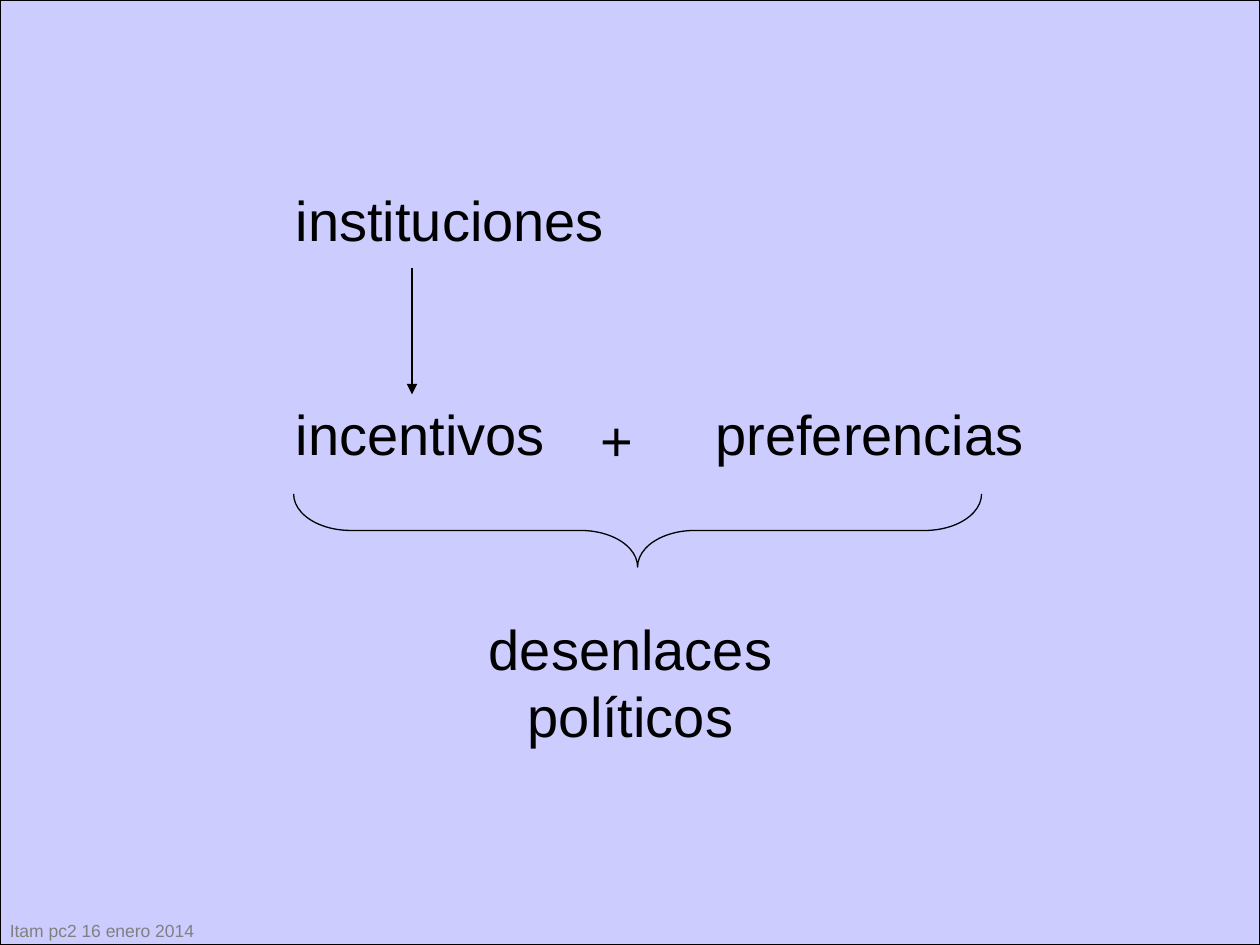
from dataclasses import dataclass

from lxml.etree import SubElement
from pptx import Presentation
from pptx.dml.color import RGBColor
from pptx.enum.shapes import MSO_CONNECTOR, MSO_SHAPE
from pptx.enum.text import PP_ALIGN
from pptx.oxml.ns import qn
from pptx.util import Inches, Pt


@dataclass(frozen=True)
class Theme:
    """Colours, font and sizes of the deck."""

    background: RGBColor = RGBColor(0xCC, 0xCC, 0xFF)
    ink: RGBColor = RGBColor(0, 0, 0)
    muted: RGBColor = RGBColor(0x80, 0x80, 0x80)
    font: str = "Arial"
    concept_size: float = 32
    footer_size: float = 10
    line_width: float = 0.75


class SlideBuilder:
    """Draws styled elements on the current slide."""

    def __init__(self, slide, theme):
        self.shapes = slide.shapes
        self.theme = theme

    def style_line(self, line):
        """Give a line the theme's colour and width."""
        line.color.rgb = self.theme.ink
        line.width = Pt(self.theme.line_width)

    def backdrop(self, width, height):
        """Add the framed coloured area behind the diagram."""
        frame = self.shapes.add_shape(MSO_SHAPE.RECTANGLE, 0, 0, width, height)
        frame.shadow.inherit = False
        frame.fill.solid()
        frame.fill.fore_color.rgb = self.theme.background
        self.style_line(frame.line)

    def text(self, words, left, top, width, height, size, color, align=PP_ALIGN.LEFT):
        """Add a wrapped text box."""
        box = self.shapes.add_textbox(Inches(left), Inches(top), Inches(width), Inches(height))
        box.text_frame.word_wrap = True
        box.text_frame.text = words
        para = box.text_frame.paragraphs[0]
        para.alignment = align
        span = para.runs[0]
        span.font.name = self.theme.font
        span.font.size = Pt(size)
        span.font.color.rgb = color

    def concept(self, words, left, top, width, height=0.64, align=PP_ALIGN.LEFT):
        """Add one large term of the diagram."""
        self.text(words, left, top, width, height, self.theme.concept_size, self.theme.ink, align)

    def footer(self, words):
        """Add the small course label at the bottom left."""
        self.text(words, -0.02, 7.25, 2.27, 0.27, self.theme.footer_size, self.theme.muted)

    def brace_below(self, left, top, span, depth):
        """Add a brace that opens upwards and points down."""
        brace = self.shapes.add_shape(
            MSO_SHAPE.RIGHT_BRACE,
            Inches(left + (span - depth) / 2),
            Inches(top + (depth - span) / 2),
            Inches(depth),
            Inches(span),
        )
        brace.rotation = 90
        brace.adjustments[0] = 0.78
        brace.shadow.inherit = False
        brace.fill.background()
        self.style_line(brace.line)

    def arrow_down(self, x, top, bottom):
        """Add a vertical arrow."""
        arrow = self.shapes.add_connector(
            MSO_CONNECTOR.STRAIGHT, Inches(x), Inches(top), Inches(x), Inches(bottom)
        )
        self.style_line(arrow.line)
        SubElement(arrow.line._get_or_add_ln(), qn("a:tailEnd"), type="triangle")
        SubElement(arrow._element.spPr, qn("a:effectLst"))


def main():
    """Build and save the deck."""
    deck = Presentation()
    deck.slide_width = Inches(10)
    deck.slide_height = Inches(7.5)
    page = SlideBuilder(deck.slides.add_slide(deck.slide_layouts[6]), Theme())
    page.backdrop(deck.slide_width, deck.slide_height)
    page.footer("Itam pc2 16 enero 2014")
    page.concept("instituciones", 2.25, 1.42, 2.67)
    page.concept("incentivos", 2.25, 3.12, 2.33)
    page.concept("preferencias", 5.58, 3.12, 2.67)
    page.concept("+", 4.67, 3.17, 0.5)
    page.brace_below(2.33, 3.92, 5.46, 0.58)
    page.concept("desenlaces políticos", 3.67, 4.83, 2.67, 1.17, PP_ALIGN.CENTER)
    page.arrow_down(3.27, 2.13, 3.13)
    deck.save("out.pptx")


if __name__ == "__main__":
    main()
